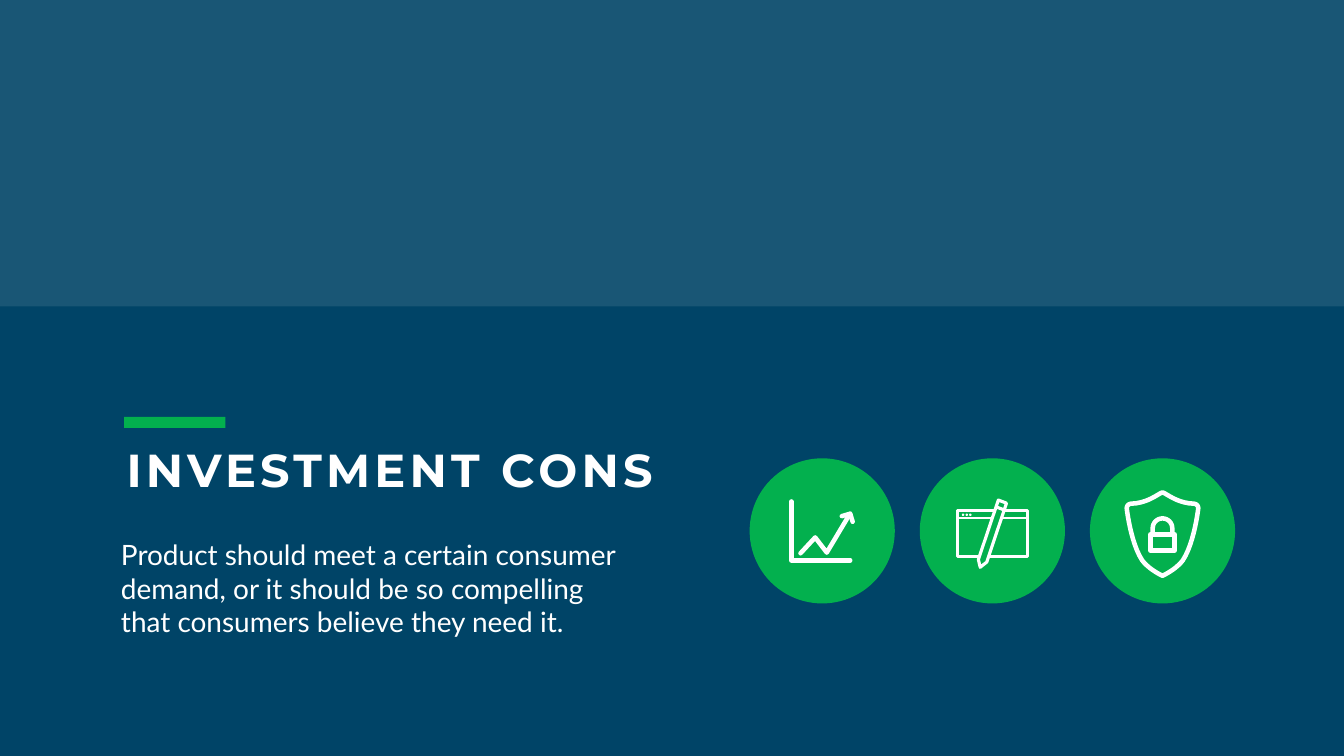
from math import cos, pi, sin

from lxml import etree
from pptx import Presentation
from pptx.dml.color import RGBColor
from pptx.enum.shapes import MSO_SHAPE
from pptx.enum.text import MSO_ANCHOR, MSO_AUTO_SIZE, PP_ALIGN
from pptx.oxml.ns import qn
from pptx.util import Pt

COLORS = {"navy": "004467", "green": "03B04E", "white": "FFFFFF"}
WIDTH, HEIGHT = 1919.52, 1080


def add_solid(shapes, preset, left, top, width, height, color):
    solid = shapes.add_shape(preset, Pt(left), Pt(top), Pt(width), Pt(height))
    solid.shadow.inherit = False
    solid.fill.solid()
    solid.fill.fore_color.rgb = RGBColor.from_string(COLORS[color])
    solid.line.fill.background()
    return solid


def add_stroke(shapes, center_x, center_y, points, weight, closed=False, fill=None):
    points = [(Pt(center_x + x), Pt(center_y + y)) for x, y in points]
    builder = shapes.build_freeform(*points[0])
    builder.add_line_segments(points[1:], close=closed)
    stroke = builder.convert_to_shape()
    stroke.shadow.inherit = False
    if fill:
        stroke.fill.solid()
        stroke.fill.fore_color.rgb = RGBColor.from_string(COLORS[fill])
    else:
        stroke.fill.background()
    stroke.line.color.rgb = RGBColor.from_string(COLORS["white"])
    stroke.line.width = Pt(weight)
    outline = stroke.element.spPr.find(qn("a:ln"))
    outline.set("cap", "rnd")
    etree.SubElement(outline, qn("a:round"))


prs = Presentation()
prs.slide_width, prs.slide_height = Pt(WIDTH), Pt(HEIGHT)
slide = prs.slides.add_slide(prs.slide_layouts[1])
shapes = slide.shapes
heading, description = slide.placeholders

upper_band = add_solid(shapes, MSO_SHAPE.RECTANGLE, 0, 0, WIDTH, 704, "navy")
upper_color = upper_band.fill.fore_color._xFill.find(qn("a:srgbClr"))
etree.SubElement(upper_color, qn("a:alpha"), val="90000")
add_solid(shapes, MSO_SHAPE.RECTANGLE, 0, 437.76, WIDTH, 642.24, "navy")

CIRCLE = 207.36
circle_centers = [1174.3 + 243 * i for i in range(3)]
CENTER_Y = 758.4
icons = shapes.add_group_shape().shapes
for center in circle_centers:
    add_solid(icons, MSO_SHAPE.OVAL, center - CIRCLE / 2, CENTER_Y - CIRCLE / 2,
              CIRCLE, CIRCLE, "green")
chart_x, window_x, shield_x = circle_centers

chart_axes = [(-44, -42), (-44, 42), (40, 42)]
chart_trend = [(-31, 32), (-10, 9.4), (6.5, 31), (39.6, -24.5)]
chart_arrowhead = [(28, -21), (40, -24.5), (43.5, -13)]
for points in (chart_axes, chart_trend, chart_arrowhead):
    add_stroke(icons, chart_x, CENTER_Y, points, 6.5)

window_frame = [(-50, -29), (50, -29), (50, 37), (-50, 37)]
pencil = [(8.6, -44), (20.2, -39.6), (-8, 44.6), (-17.3, 52), (-20, 41)]
add_stroke(icons, window_x, CENTER_Y, window_frame, 4.7, closed=True)
add_stroke(icons, window_x, CENTER_Y, [(-50, -19), (50, -19)], 2.9)
add_stroke(icons, window_x, CENTER_Y, pencil, 4.5, closed=True, fill="green")
add_stroke(icons, window_x, CENTER_Y, [(6, -34), (16, -30.2)], 4.5)
for i in range(3):
    add_solid(icons, MSO_SHAPE.OVAL, window_x - 43.5 + 5.2 * i, CENTER_Y - 24.7,
              3.4, 3.4, "white")

shield_curves = [
    [(0, -55.5), (-4, -55.5), (-20, -40), (-45, -39.5)],
    [(-45, -39.5), (-49, -39), (-51.5, -36), (-51, -32)],
    [(-51, -32), (-49, -17), (-43, 20), (-29, 41.5)],
    [(-29, 41.5), (-19, 54.5), (-2, 62.5), (0, 63.5)],
]
STEPS = 10
shield_left = []
for curve in shield_curves:
    for step in range(STEPS):
        t = step / STEPS
        weights = [(1 - t) ** 3, 3 * t * (1 - t) ** 2, 3 * t ** 2 * (1 - t), t ** 3]
        shield_left.append(tuple(sum(w * p[axis] for w, p in zip(weights, curve))
                                 for axis in (0, 1)))
shield_right = [(-x, y) for x, y in reversed(shield_left[1:])]
shield = shield_left + [(0, 63.5)] + shield_right
lock_body = [(-17.3, 4.3), (17.3, 4.3), (17.3, 27.4), (-17.3, 27.4)]
shackle_arc = [(-14 * cos(pi * i / 16), -4.5 - 14 * sin(pi * i / 16)) for i in range(17)]
lock_shackle = [(-14, 4.3)] + shackle_arc + [(14, 4.3)]
for points, closed in ((shield, True), (lock_body, True), (lock_shackle, False)):
    add_stroke(icons, shield_x, CENTER_Y + 0.7, points, 6.5, closed)

add_solid(shapes, MSO_SHAPE.RECTANGLE, 177.12, 595.44, 144.72, 15.84, "green")

texts = [
    (description, (155.52, 759.6, 772.56, 162.72), (17.28, 8.64), "Lato", 40, False,
     "Product should meet a certain consumer demand, or it should be so compelling "
     "that consumers believe they need it."),
    (heading, (173.52, 627.12, 848.16, 87.12), (7.2, 3.6), "Montserrat", 66, True,
     "INVESTMENT CONS"),
]
for holder, box, (side_inset, end_inset), font_name, size, bold, wording in texts:
    holder.element.getparent().append(holder.element)
    holder.left, holder.top, holder.width, holder.height = map(Pt, box)
    frame = holder.text_frame
    frame.text = wording
    frame.word_wrap = True
    frame.auto_size = MSO_AUTO_SIZE.NONE
    frame.vertical_anchor = MSO_ANCHOR.TOP
    frame.margin_left = frame.margin_right = Pt(side_inset)
    frame.margin_top = frame.margin_bottom = Pt(end_inset)
    paragraph = frame.paragraphs[0]
    paragraph.alignment = PP_ALIGN.LEFT
    paragraph.space_before = Pt(0)
    properties = paragraph._p.get_or_add_pPr()
    properties.set("marL", "0")
    properties.set("indent", "0")
    etree.SubElement(properties, qn("a:buNone"))
    run = paragraph.runs[0]
    run.font.name = font_name
    run.font.size = Pt(size)
    run.font.bold = bold
    run.font.color.rgb = RGBColor.from_string(COLORS["white"])
heading.text_frame.paragraphs[0].runs[0].font._element.set("spc", "600")

prs.save("out.pptx")
